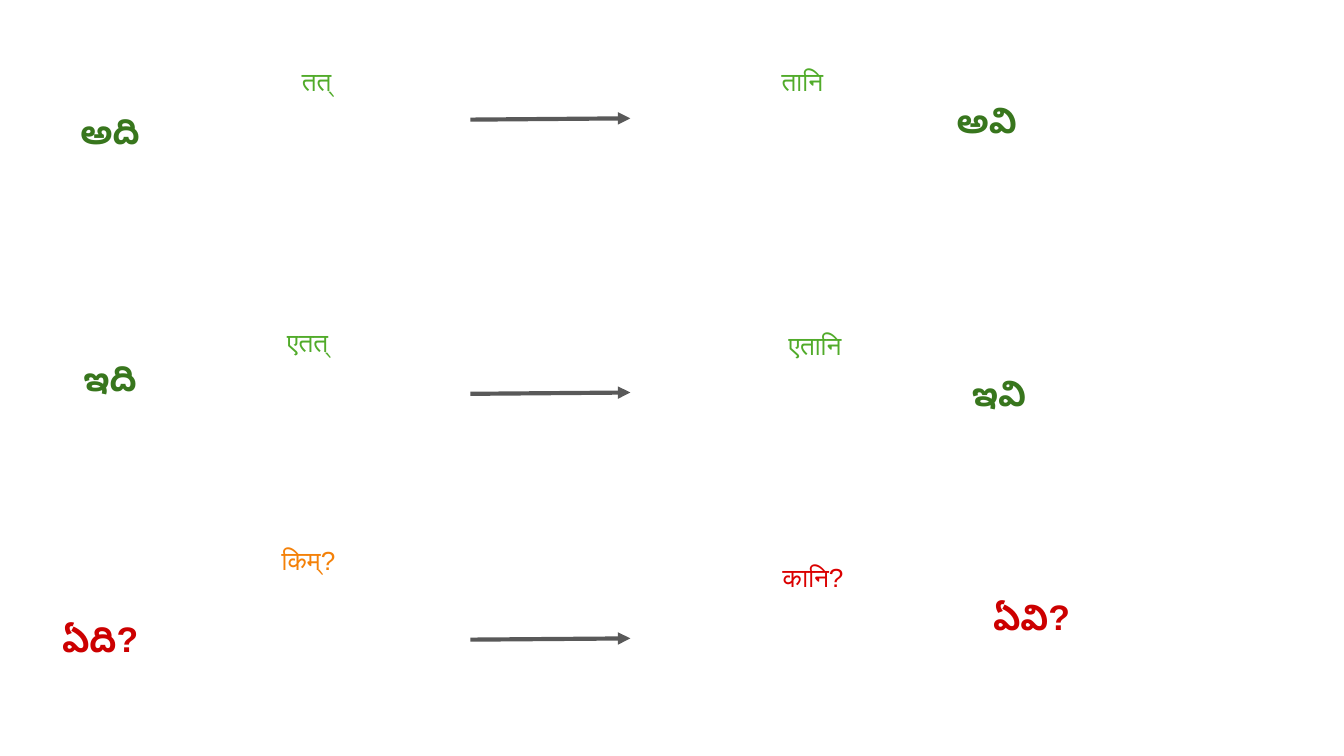
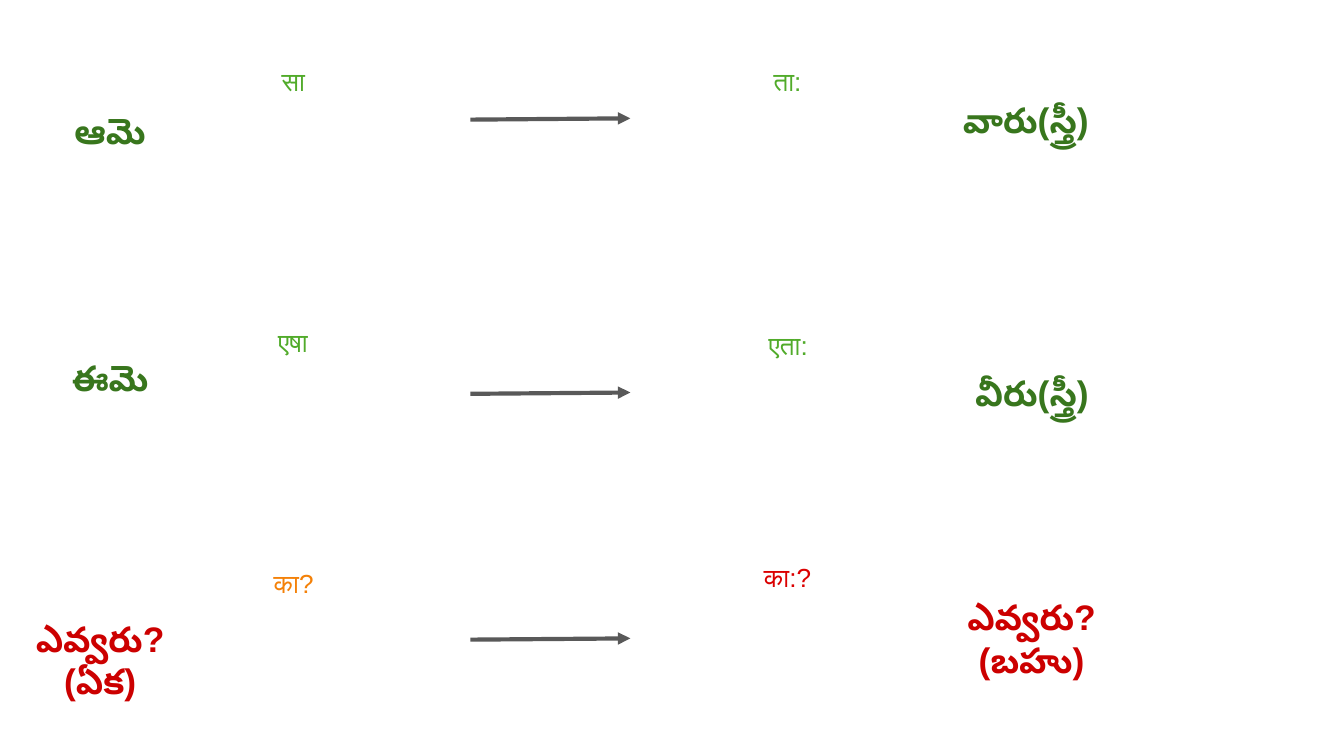
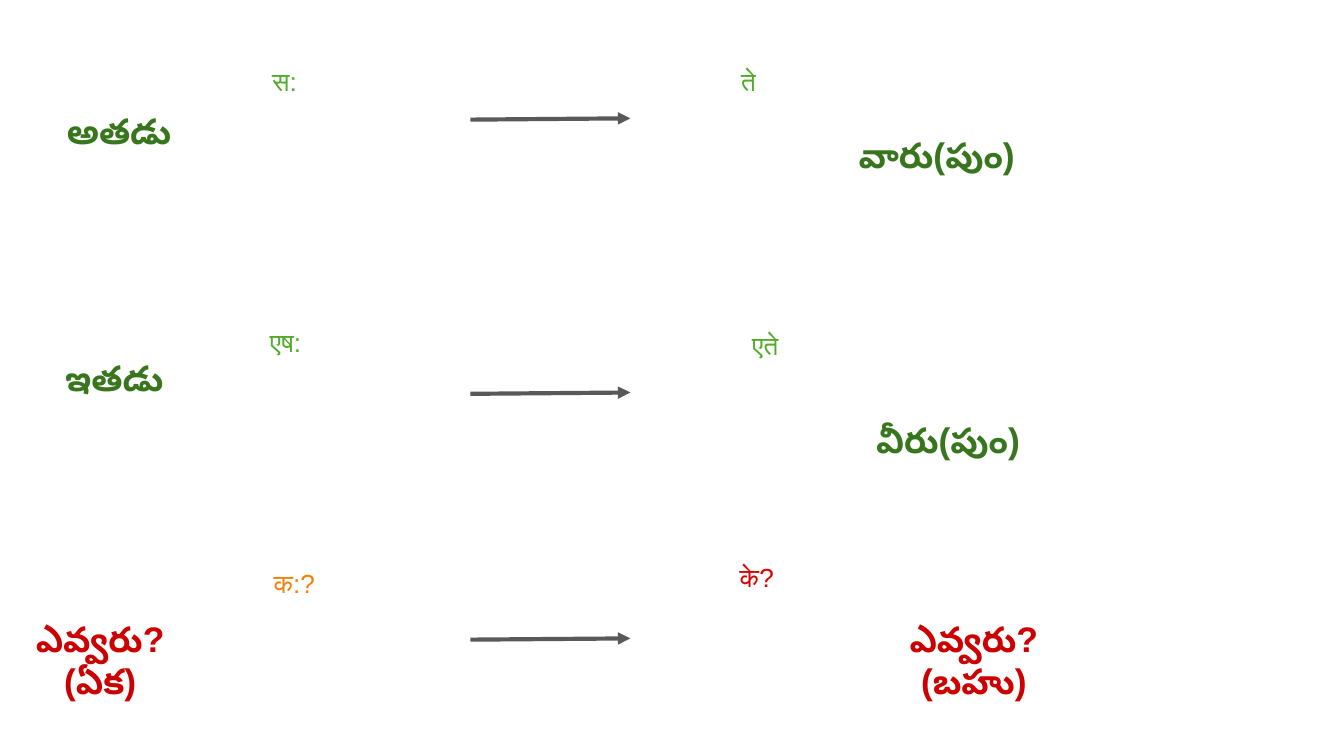
from dataclasses import dataclass

from lxml import etree
from pptx import Presentation
from pptx.dml.color import RGBColor
from pptx.enum import shapes, text
from pptx.oxml import ns
from pptx.util import Pt


@dataclass(frozen=True)
class Theme:
    """Colours and type sizes of the deck."""
    font: str = "Arial"
    small: float = 14
    big: float = 19
    grey: str = "595959"
    leaf: tuple = ("51AB2A", "203E13")
    amber: tuple = ("F48108", "703D08")
    rose: tuple = ("DB0000", "540303")
    green: str = "38761D"
    red: str = "CC0000"


T = Theme()
PAD = 7.2

ROWS = [
    dict(tones=(T.leaf, T.leaf), ink=T.green, arrow=64.1,
         spots=((111, 31.7), (366.5, 31.7), (22.3, 51.1), (494.6, 45.4))),
    dict(tones=(T.leaf, T.leaf), ink=T.green, arrow=211,
         spots=((101.5, 171.4), (372.2, 172.8), (22.3, 183.6), (501.1, 191.5))),
    dict(tones=(T.amber, T.rose), ink=T.red, arrow=342.7,
         spots=((107.3, 300.2), (366.5, 297.4), (3.6, 323.3), (501.1, 311.8))),
]

SLIDES = [
    [
        [("तत्", 117.4, 83.5), ("तानि", 126.7, 79.2),
         ("అది", 73.4, 37.4), ("అవి ", 73.4, 37.4)],
        [("एतत्", 126.7, 83.5), ("एतानि", 128.9, 95),
         ("ఇది", 73.4, 37.4), ("ఇవి ", 73.4, 37.4)],
        [("किम्?", 117.4, 92.2, (106.6, 288)), ("कानि?", 138.2, 74.9),
         ("ఏది?", 100.1, 37.4), ("ఏవి?", 103, 37.4)],
    ],
    [
        [("सा", 92.2, 76.3), ("ता:", 110.9, 64.1),
         ("ఆమె", 73.4, 37.4), ("వారు(స్త్రీ) ", 115.2, 37.4)],
        [("एषा", 110.9, 79.2), ("एता:", 100.1, 76.3),
         ("ఈమె", 73.4, 37.4), ("వీరు(స్త్రీ) ", 108.7, 37.4)],
        [("का?", 100.1, 83.5), ("का:?", 110.9, 76.3),
         ("ఎవ్వరు? (ఏక)", 100.1, 60.5), ("ఎవ్వరు? (బహు)", 103, 60.5)],
    ],
    [
        [("स:", 82.8, 76.3), ("ते", 69.1, 89.3),
         ("అతడు", 82.8, 37.4), ("వారు(పుం) ", 118.8, 37.4, (445, 64.1))],
        [("एष:", 103, 79.2), ("एते", 75.6, 105.8),
         ("ఇతడు", 77.8, 37.4), ("వీరు(పుం) ", 108, 37.4, (456.5, 216.7))],
        [("क:?", 100.8, 83.5), ("के?", 77.8, 95.8),
         ("ఎవ్వరు? (ఏక)", 100.1, 60.5), ("ఎవ్వరు? (బహు)", 103, 60.5, (470.2, 323.3))],
    ],
]


def add_node(top, tag, **attrs):
    """Append a child element."""
    return etree.SubElement(top, ns.qn(tag), attrs)


def add_box(slide, spot, word, size):
    """Add centred text and return its frame and font."""
    label, wide, high, *moved = word
    left, top = moved[0] if moved else spot
    frame = slide.shapes.add_textbox(Pt(left), Pt(top), Pt(wide), Pt(high)).text_frame
    frame.word_wrap = True
    para = frame.paragraphs[0]
    para.text = label
    para.alignment = text.PP_ALIGN.CENTER
    font = para.font
    font.size, font.name = Pt(size), T.font
    props = para._p.pPr.find(ns.qn("a:defRPr"))
    for tag in ("a:ea", "a:cs"):
        add_node(props, tag, typeface=T.font)
    return frame, font, props


def add_art(slide, spot, word, tone):
    """Add a Sanskrit word with a radial fill and an outline."""
    _, _, props = add_box(slide, spot, word, T.small)
    line = add_node(props, "a:ln", w=str(Pt(0.75)))
    add_node(add_node(line, "a:solidFill"), "a:srgbClr", val=T.grey)
    fill = add_node(props, "a:gradFill")
    stops = add_node(fill, "a:gsLst")
    for place, shade in zip(("0", "100000"), tone):
        add_node(add_node(stops, "a:gs", pos=place), "a:srgbClr", val=shade)
    ring = add_node(fill, "a:path", path="circle")
    add_node(ring, "a:fillToRect", l="50000", t="50000", r="50000", b="50000")
    props.insert(0, line)
    props.insert(1, fill)


def add_gloss(slide, spot, word, ink):
    """Add a bold Telugu word."""
    frame, font, _ = add_box(slide, spot, word, T.big)
    frame.margin_top = frame.margin_bottom = Pt(PAD)
    frame.auto_size = text.MSO_AUTO_SIZE.SHAPE_TO_FIT_TEXT
    font.bold = True
    font.color.rgb = RGBColor.from_string(ink)


def add_arrow(slide, top):
    """Add the arrow from singular to plural."""
    arrow = slide.shapes.add_connector(
        shapes.MSO_CONNECTOR.STRAIGHT, Pt(252), Pt(top), Pt(337.7), Pt(top - 0.7))
    arrow.line.color.rgb = RGBColor.from_string(T.grey)
    arrow.line.width = Pt(2.25)
    add_node(arrow.line._ln, "a:tailEnd", type="triangle")
    add_node(arrow._element.spPr, "a:effectLst")


def main():
    """Build the deck."""
    deck = Presentation()
    deck.slide_width, deck.slide_height = Pt(720), Pt(405)
    for words in SLIDES:
        slide = deck.slides.add_slide(deck.slide_layouts[6])
        for row, group in zip(ROWS, words):
            spots = row["spots"]
            for spot, word, tone in zip(spots[:2], group[:2], row["tones"]):
                add_art(slide, spot, word, tone)
            add_arrow(slide, row["arrow"])
            for spot, word in zip(spots[2:], group[2:]):
                add_gloss(slide, spot, word, row["ink"])
    deck.save("out.pptx")


if __name__ == "__main__":
    main()
